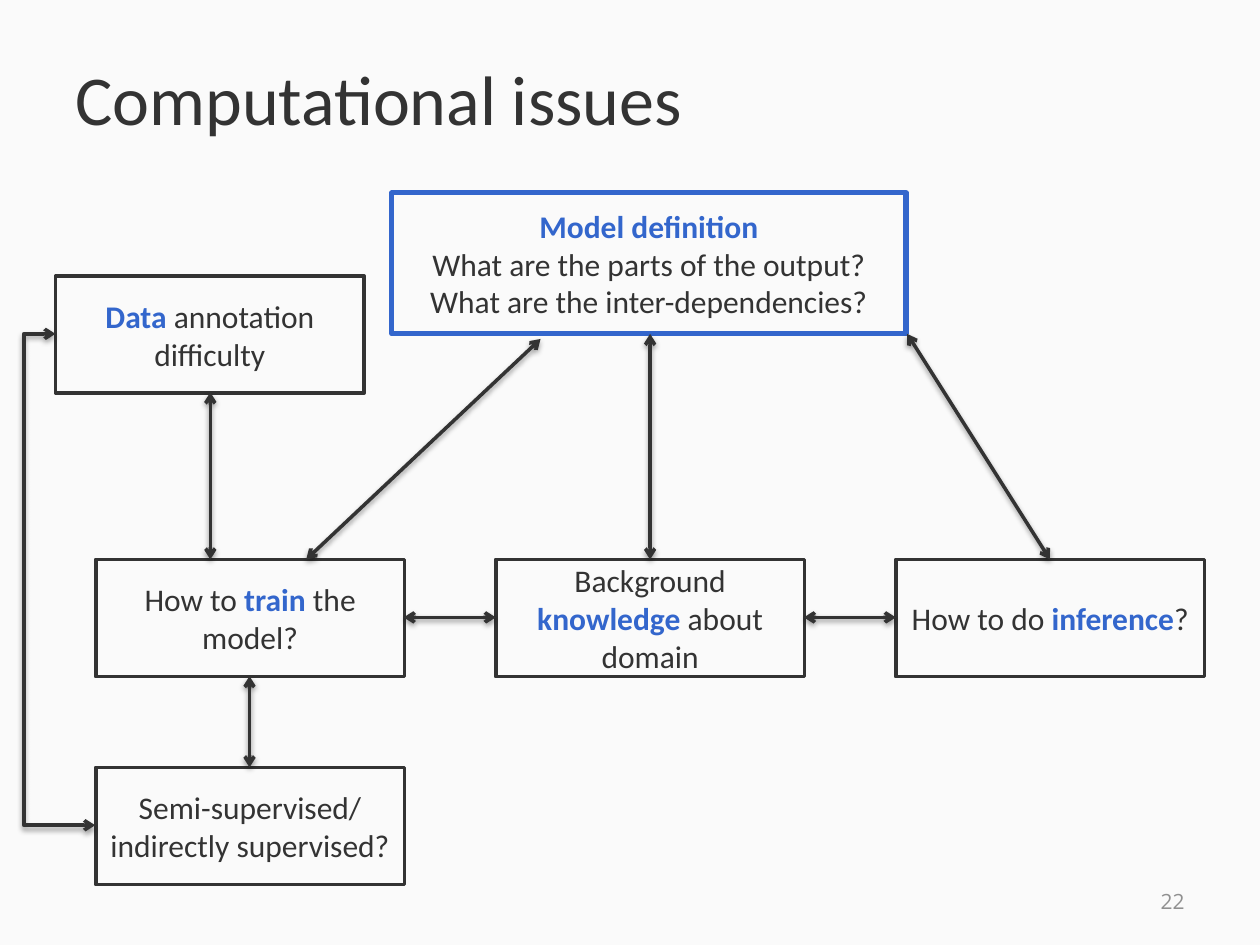
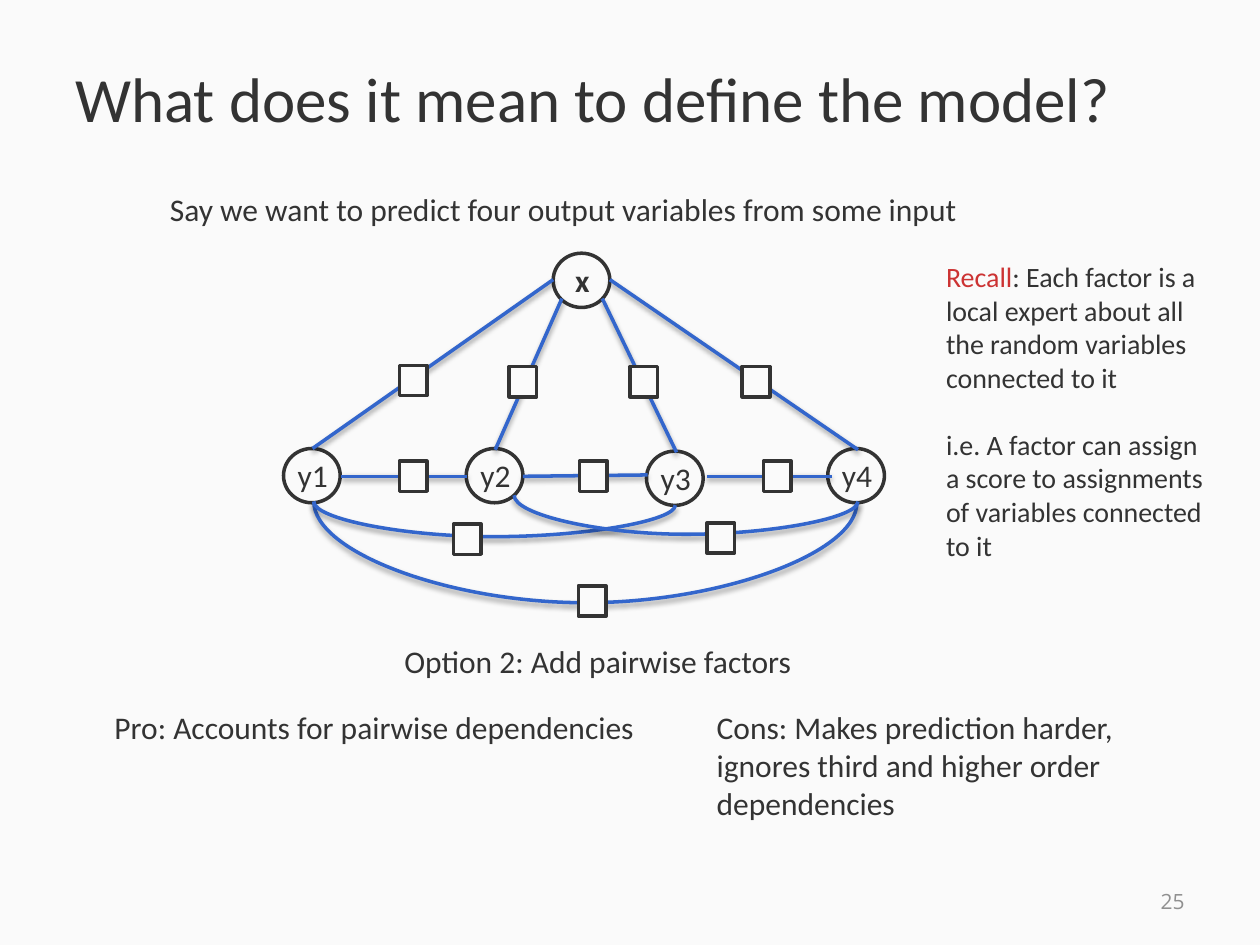
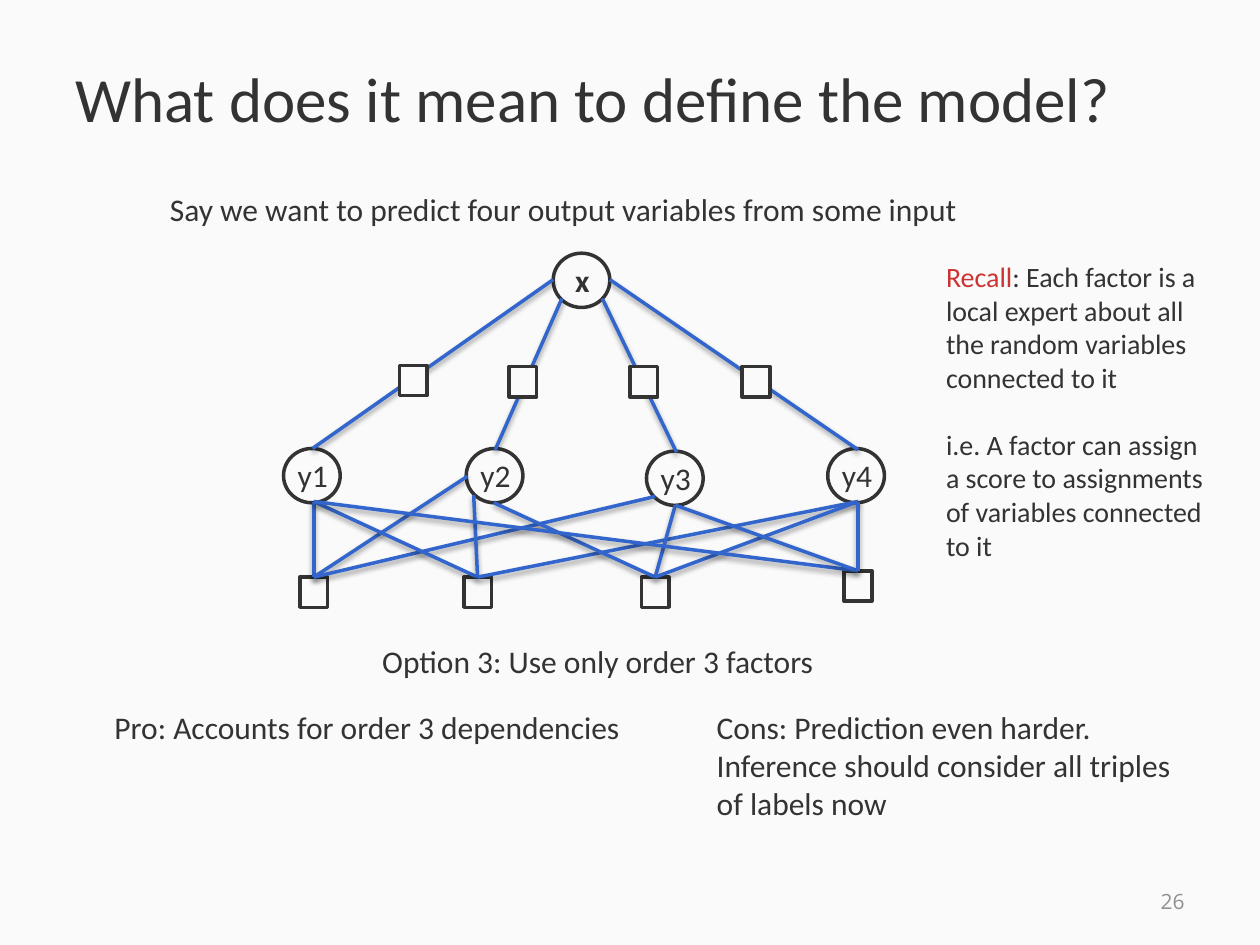
from lxml import etree
from pptx import Presentation
from pptx.dml.color import RGBColor
from pptx.enum.shapes import MSO_CONNECTOR, MSO_SHAPE
from pptx.enum.text import MSO_ANCHOR, PP_ALIGN
from pptx.oxml.ns import qn
from pptx.util import Pt

PAPER = RGBColor(0xFA, 0xFA, 0xFA)
INK = RGBColor(0x33, 0x33, 0x33)
BLUE = RGBColor(0x33, 0x66, 0xCC)
RED = RGBColor(0xCC, 0x33, 0x33)
GREY = RGBColor(0x90, 0x90, 0x90)

TITLE_AREA = (36, 10.8, 648, 90)
NUMBER_AREA = (516, 500.4, 168, 28.8)
CIRCLE = (32.4, 31)
FACTOR = (15.8, 17.3)

prs = Presentation()
prs.slide_width, prs.slide_height = Pt(720), Pt(540)
master_fill = prs.slide_master.background.fill
master_fill.solid()
master_fill.fore_color.rgb = PAPER


def add_box(slide, area, paragraphs=(), preset=None, outline=INK, weight=2, size=18,
            font="Calibri", align=PP_ALIGN.LEFT, anchor=MSO_ANCHOR.TOP, wrap=True, gap=0):
    area = [Pt(value) for value in area]
    if preset is None:
        shape = slide.shapes.add_textbox(*area)
    else:
        shape = slide.shapes.add_shape(preset, *area)
        shape.shadow.inherit = False
        shape.fill.solid()
        shape.fill.fore_color.rgb = PAPER
        shape.line.color.rgb = outline
        shape.line.width = Pt(weight)
    frame = shape.text_frame
    frame.word_wrap = wrap
    frame.vertical_anchor = anchor
    for index, runs in enumerate(paragraphs):
        paragraph = frame.add_paragraph() if index else frame.paragraphs[0]
        paragraph.alignment = align
        if index:
            paragraph.space_before = Pt(gap)
        for text, colour, bold in runs:
            run = paragraph.add_run()
            run.text = text
            run.font.name = font
            run.font.size = Pt(size)
            run.font.bold = bold
            run.font.color.rgb = colour


def add_line(slide, start, end, colour=BLUE, kind=MSO_CONNECTOR.STRAIGHT, arrows=False):
    line = slide.shapes.add_connector(kind, *[Pt(value) for value in (*start, *end)])
    line.line.color.rgb = colour
    line.line.width = Pt(2)
    properties = line.element.spPr
    if arrows:
        for tag in ("a:headEnd", "a:tailEnd"):
            etree.SubElement(properties.find(qn("a:ln")), qn(tag), type="arrow")
    effects = etree.SubElement(properties, qn("a:effectLst"))
    shadow = etree.SubElement(effects, qn("a:outerShdw"), blurRad=str(Pt(3.1)),
                              dist=str(Pt(1.6)), dir="5400000", rotWithShape="0")
    black = etree.SubElement(shadow, qn("a:srgbClr"), val="000000")
    etree.SubElement(black, qn("a:alpha"), val="38000")
    return line


slides = []
for title, size, number in (
    ("Computational issues", 40, "22"),
    ("What does it mean to define the model?", 36, "25"),
    ("What does it mean to define the model?", 36, "26"),
):
    slide = prs.slides.add_slide(prs.slide_layouts[6])
    add_box(slide, TITLE_AREA, [[(title, INK, False)]], size=size, anchor=MSO_ANCHOR.MIDDLE)
    add_box(slide, NUMBER_AREA, [[(number, GREY, False)]], size=12, font="Open Sans",
            align=PP_ALIGN.RIGHT, anchor=MSO_ANCHOR.MIDDLE)
    slides.append(slide)
issues, pairwise, triples = slides

add_box(issues, (223.9, 110.2, 293.8, 80.6),
        [[("Model definition", BLUE, True)],
         [("What are the parts of the output? What are the inter-dependencies?", INK, False)]],
        MSO_SHAPE.RECTANGLE, BLUE, 3, align=PP_ALIGN.CENTER, anchor=MSO_ANCHOR.MIDDLE)

COLUMNS = [54.7 + 228.6 * i for i in range(3)]
ROW = 319.7
for left, top, runs in (
    (COLUMNS[0], ROW, [("How to ", INK, False), ("train ", BLUE, True), ("the model?", INK, False)]),
    (COLUMNS[2], ROW, [("How to do ", INK, False), ("inference", BLUE, True), ("?", INK, False)]),
    (31.7, 157.7, [("Data ", BLUE, True), ("annotation difficulty", INK, False)]),
    (COLUMNS[1], ROW, [("Background ", INK, False), ("knowledge", BLUE, True),
                       (" about domain", INK, False)]),
    (COLUMNS[0], 438.5, [("Semi-supervised/indirectly supervised?", INK, False)]),
):
    add_box(issues, (left, top, 176.4, 67), [runs], MSO_SHAPE.RECTANGLE,
            align=PP_ALIGN.CENTER, anchor=MSO_ANCHOR.MIDDLE)

for start, end in (
    ((600, ROW), (518.4, 190.8)),
    ((120.2, ROW), (120.2, 224.2)),
    ((371.5, ROW), (371.5, 190.8)),
    ((459.4, 352.8), (511.9, 352.8)),
    ((230.7, 352.8), (283.3, 352.8)),
    ((175, ROW), (308.9, 193.7)),
    ((142.6, 438.5), (142.6, 386.4)),
):
    add_line(issues, start, end, INK, arrows=True)

elbow = add_line(issues, (31.7, 190.8), (54.4, 471.6), INK, MSO_CONNECTOR.ELBOW, True)
guides = elbow.element.spPr.find(qn("a:prstGeom")).get_or_add_avLst()
etree.SubElement(guides, qn("a:gd"), name="adj1", fmla="val -79900")

for slide, option, pro, cons in (
    (pairwise, "Option 2: Add pairwise factors", "Pro: Accounts for pairwise dependencies",
     "Cons: Makes prediction harder, ignores third and higher order dependencies"),
    (triples, "Option 3: Use only order 3 factors", "Pro: Accounts for order 3 dependencies",
     "Cons: Prediction even harder. Inference should consider all triples of labels now"),
):
    for name, left, top in (("y1", 162, 256.3), ("y2", 266.4, 256.3), ("y3", 369.4, 257.8),
                            ("y4", 473, 256.3), ("x", 316.1, 144.7)):
        add_box(slide, (left, top, *CIRCLE), preset=MSO_SHAPE.OVAL)
        add_box(slide, (left + 0.5, top + 1, 32.4, 28.8), [[(name, INK, name == "x")]],
                align=PP_ALIGN.CENTER, wrap=False)
    for start, end, corner in (
        ((178.6, 256.3), (316.1, 159.8), (228.2, 208.8)),
        ((283, 257), (321.1, 170.6), (290.9, 209.5)),
        ((386.6, 258.5), (344.2, 170.6), (360, 209.5)),
        ((490.3, 257), (348.5, 159.8), (424.1, 209.5)),
    ):
        add_line(slide, start, end)
        add_box(slide, (*corner, *FACTOR), preset=MSO_SHAPE.RECTANGLE)
    add_box(slide, (90, 105.1, 470.9, 28.8),
            [[("Say we want to predict four output variables from some input", INK, False)]],
            wrap=False)
    add_box(slide, (168.5, 363.6, 346.3, 28.8), [[(option, INK, False)]], align=PP_ALIGN.CENTER)
    add_box(slide, (533.5, 144.7, 167, 181.4),
            [[("Recall", RED, False),
              (": Each factor is a local expert about all the random variables connected to it",
               INK, False)],
             [("i.e. A factor can assign a score to assignments of variables connected to it",
               INK, False)]], size=16, gap=19.2)
    add_box(slide, (58.3, 401, 315.4, 28.8), [[(pro, INK, False)]], wrap=False)
    add_box(slide, (402.5, 401, 273.6, 72.7), [[(cons, INK, False)]])

for start, end, left in (
    ((195.1, 272.2), (267.1, 272.2), 228.2),
    ((298.8, 272.2), (370.1, 271.4), 331.2),
    ((403.9, 272.2), (475.2, 272.2), 436.3),
):
    add_line(pairwise, start, end)
    add_box(pairwise, (left, 263.5, *FACTOR), preset=MSO_SHAPE.RECTANGLE)

for start, end, bottom, corner in (
    ((179.3, 286.6), (489.6, 287.4), 344.9, (330.5, 334.8)),
    ((179.3, 286.6), (385.9, 288.7), 306.7, (259.2, 299.5)),
    ((293.8, 283), (490.3, 286.6), 305.3, (403.9, 298.8)),
):
    span, drop = end[0] - start[0], end[1] - start[1]
    middle_x, middle_y = (start[0] + end[0]) / 2, (start[1] + end[1]) / 2
    curve = add_line(pairwise, (middle_x + drop / 2, middle_y - span / 2),
                     (middle_x - drop / 2, middle_y + span / 2), kind=MSO_CONNECTOR.CURVE)
    curve.element.spPr.find(qn("a:xfrm")).set("rot", "16200000")
    guides = curve.element.spPr.find(qn("a:prstGeom")).get_or_add_avLst()
    bend = round((bottom - start[1]) / drop * 100000)
    etree.SubElement(guides, qn("a:gd"), name="adj1", fmla=f"val {bend}")
    add_box(pairwise, (*corner, *FACTOR), preset=MSO_SHAPE.RECTANGLE)

Y1, Y3, Y4 = (179.3, 286.6), (385.9, 288.7), (490.3, 286.6)
for left, top, variables in (
    (171.4, 329.8, (Y1, (267.1, 272.2), (374.4, 283.7))),
    (265, 329.8, (Y1, (270.7, 283), Y4)),
    (366.5, 329.8, ((282.2, 287.3), Y3, Y4)),
    (482.4, 326.2, (Y1, Y3, Y4)),
):
    add_box(triples, (left, top, *FACTOR), preset=MSO_SHAPE.RECTANGLE)
    for variable in variables:
        add_line(triples, variable, (left + FACTOR[0] / 2, top))

prs.save("out.pptx")
